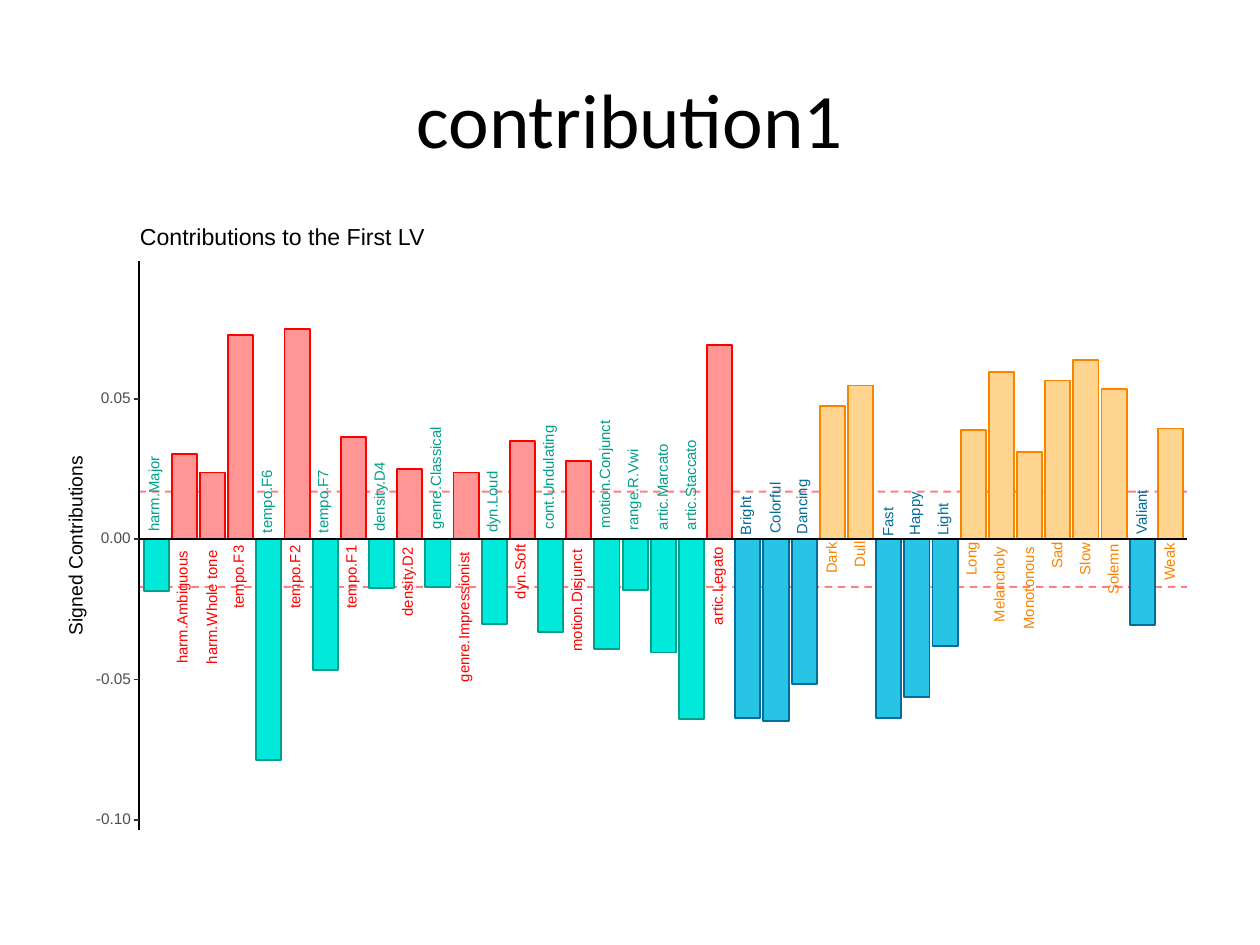
from lxml import etree
from pptx import Presentation
from pptx.dml.color import RGBColor
from pptx.enum.dml import MSO_LINE
from pptx.enum.shapes import MSO_CONNECTOR, MSO_SHAPE
from pptx.enum.text import MSO_ANCHOR, PP_ALIGN
from pptx.oxml.ns import qn
from pptx.util import Inches, Pt

RECTANGLE = MSO_SHAPE.RECTANGLE
STRAIGHT = MSO_CONNECTOR.STRAIGHT
DASH = MSO_LINE.DASH
MIDDLE = MSO_ANCHOR.MIDDLE
CENTER = PP_ALIGN.CENTER

WHITE = RGBColor(0xFF, 0xFF, 0xFF)
BLACK = RGBColor(0x00, 0x00, 0x00)
TICK_GRAY = RGBColor(0x33, 0x33, 0x33)
SCALE_GRAY = RGBColor(0x4D, 0x4D, 0x4D)
RED, PINK = RGBColor(0xFF, 0x00, 0x00), RGBColor(0xFF, 0x95, 0x95)
GREEN, TURQUOISE = RGBColor(0x00, 0xA0, 0x8A), RGBColor(0x00, 0xE9, 0xDA)
ORANGE, APRICOT = RGBColor(0xF9, 0x84, 0x00), RGBColor(0xFF, 0xD4, 0x8E)
BLUE, SKY = RGBColor(0x04, 0x6C, 0x9A), RGBColor(0x27, 0xC4, 0xE5)

AXIS_X, AXIS_END = 1.1, 9.42
AXIS_TOP, AXIS_BOTTOM = 2.07, 6.59
ZERO_Y = 4.28
INCHES_PER_UNIT = 22.26
FIRST_BAR, BAR_PITCH, BAR_WIDTH = 1.14, 8.05 / 36, 0.2
STROKE = Pt(1.07)
THRESHOLD = 0.017
TEXT_SLACK = 0.04

MUSIC = [
    ("harm.Major", -18.4, 0.6), ("harm.Ambiguous", 30.5, 0.9),
    ("harm.Whole tone", 23.8, 0.9), ("tempo.F3", 72.8, 0.5),
    ("tempo.F6", -78.6, 0.5), ("tempo.F2", 75, 0.5),
    ("tempo.F7", -46.7, 0.5), ("tempo.F1", 36.4, 0.5),
    ("density.D4", -17.3, 0.56), ("density.D2", 25.2, 0.56),
    ("genre.Classical", -17.1, 0.81), ("genre.Impressionist", 23.8, 1.03),
    ("dyn.Loud", -30.1, 0.49), ("dyn.Soft", 35, 0.43),
    ("cont.Undulating", -33.2, 0.82), ("motion.Disjunct", 27.9, 0.81),
    ("motion.Conjunct", -39.1, 0.86), ("range.R.Vwi", -18, 0.65),
    ("artic.Marcato", -40.4, 0.69), ("artic.Staccato", -64.2, 0.72),
    ("artic.Legato", 69.2, 0.62),
]
ADJECTIVES = [
    ("Bright", -63.8, 0.31), ("Colorful", -64.7, 0.41),
    ("Dancing", -51.7, 0.43), ("Dark", 47.6, 0.25), ("Dull", 54.8, 0.2),
    ("Fast", -63.8, 0.23), ("Happy", -56.2, 0.34), ("Light", -38.2, 0.26),
    ("Long", 39.1, 0.26), ("Melancholy", 59.7, 0.6),
    ("Monotonous", 31, 0.65), ("Sad", 56.6, 0.21), ("Slow", 63.8, 0.26),
    ("Solemn", 53.5, 0.4), ("Valiant", -30.5, 0.36), ("Weak", 39.5, 0.3),
]

prs = Presentation()
prs.slide_width, prs.slide_height = Inches(10), Inches(7.5)
slide = prs.slides.add_slide(prs.slide_layouts[6])


def add_text(shapes, words, center_x, center_y, width, height, size, color,
             font="Arial", rotation=0, exact_spacing=True):
    width += TEXT_SLACK
    box = shapes.add_textbox(Inches(center_x - width / 2), Inches(center_y - height / 2),
                             Inches(width), Inches(height))
    box.rotation = rotation
    frame = box.text_frame
    frame.word_wrap = False
    frame.vertical_anchor = MIDDLE
    frame.margin_left = frame.margin_right = frame.margin_top = frame.margin_bottom = 0
    paragraph = frame.paragraphs[0]
    paragraph.text = words
    paragraph.alignment = CENTER
    if exact_spacing:
        paragraph.line_spacing = Pt(size)
    paragraph.font.name = font
    paragraph.font.size = Pt(size)
    paragraph.font.color.rgb = color


def add_line(x1, y1, x2, y2, color):
    rule = plot.add_connector(STRAIGHT, Inches(x1), Inches(y1), Inches(x2), Inches(y2))
    rule.line.color.rgb = color
    rule.line.width = STROKE
    etree.SubElement(rule._element.spPr, qn("a:effectLst"))
    return rule


add_text(slide.shapes, "contribution1", 5, 0.93, 9, 1.25, 44, BLACK, "Calibri",
         exact_spacing=False)

plot = slide.shapes.add_group_shape().shapes
panel = plot.add_shape(RECTANGLE, Inches(0.5), Inches(1.75), Inches(9), Inches(4.95))
panel.shadow.inherit = False
panel.fill.solid()
panel.fill.fore_color.rgb = WHITE
panel.line.color.rgb = WHITE
panel.line.width = STROKE

for limit in (THRESHOLD, -THRESHOLD):
    y = ZERO_Y - limit * INCHES_PER_UNIT
    threshold = add_line(AXIS_X, y, AXIS_END, y, RED)
    threshold.line.dash_style = DASH
    red_fill = threshold._element.spPr.find(".//" + qn("a:srgbClr"))
    etree.SubElement(red_fill, qn("a:alpha"), val="50000")

labels = []
for column, (name, thousandths, length) in enumerate(MUSIC + ADJECTIVES):
    positive = thousandths > 0
    if column < len(MUSIC):
        edge, tint = (RED, PINK) if positive else (GREEN, TURQUOISE)
    else:
        edge, tint = (ORANGE, APRICOT) if positive else (BLUE, SKY)
    left = FIRST_BAR + column * BAR_PITCH
    height = abs(thousandths) / 1000 * INCHES_PER_UNIT
    top = ZERO_Y - height if positive else ZERO_Y
    bar = plot.add_shape(RECTANGLE, Inches(left), Inches(top),
                         Inches(BAR_WIDTH), Inches(height))
    bar.shadow.inherit = False
    bar.fill.solid()
    bar.fill.fore_color.rgb = tint
    bar.line.color.rgb = edge
    bar.line.width = STROKE
    label_y = ZERO_Y + (0.6 if positive else -0.6) * length
    labels.append((name, left + BAR_WIDTH / 2, label_y, length, edge))

for name, x, y, length, color in labels:
    descends = any(letter in "gjpqy" for letter in name)
    add_text(plot, name, x - 0.01 * descends, y, length, 0.11 if descends else 0.09,
             8.5, color, rotation=270)

add_line(AXIS_X, ZERO_Y, AXIS_END, ZERO_Y, BLACK)
add_line(AXIS_X, AXIS_BOTTOM, AXIS_X, AXIS_TOP, BLACK)

for value in (-0.10, -0.05, 0, 0.05):
    y = ZERO_Y - value * INCHES_PER_UNIT
    width = 0.28 if value < 0 else 0.24
    add_text(plot, f"{value:.2f}", 1.04 - width / 2, y, width, 0.09, 8.8, SCALE_GRAY)
    add_line(AXIS_X - 0.04, y, AXIS_X, y, TICK_GRAY)

add_text(plot, "Signed Contributions", 0.61, 4.33, 1.42, 0.14, 11, BLACK, rotation=270)
add_text(plot, "Contributions to the First LV", 2.24, 1.89, 2.27, 0.14, 13.2, BLACK)

prs.save("out.pptx")
